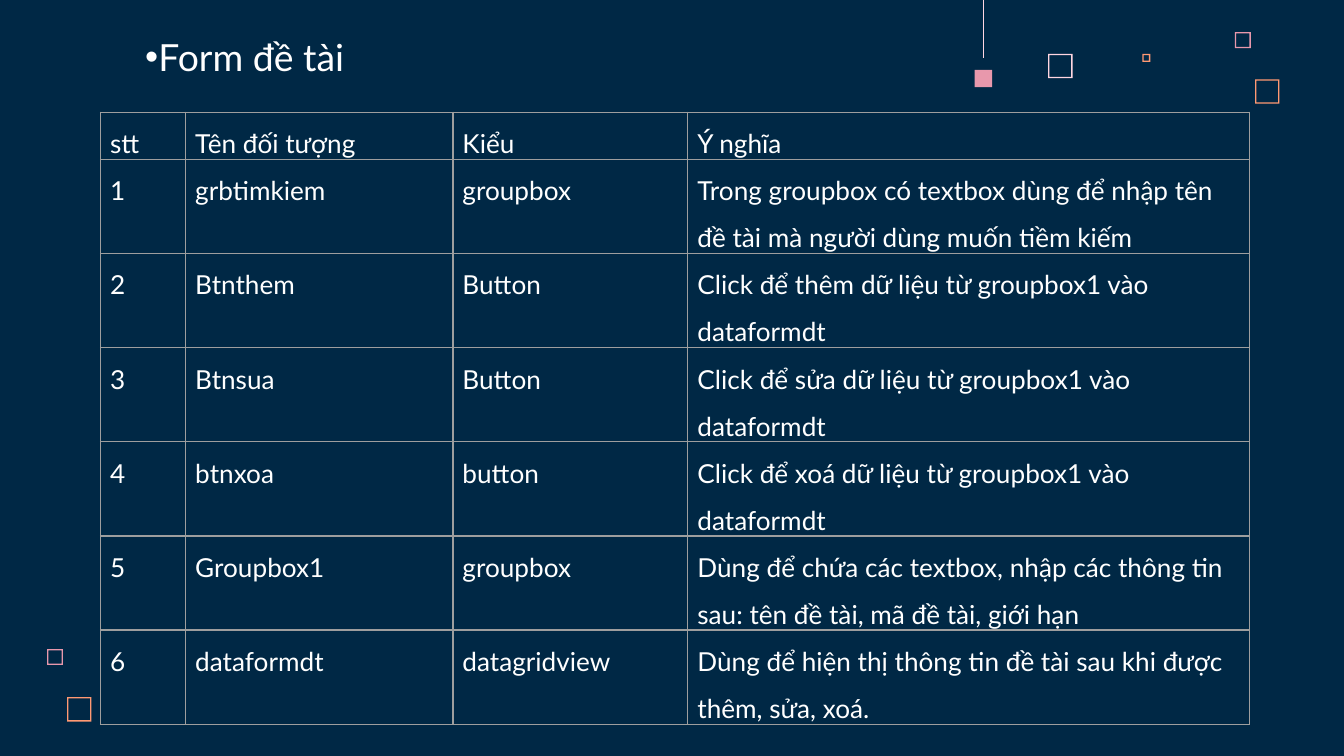
"""Build the slide that lists the objects of the topic form."""
from dataclasses import dataclass

from lxml import etree
from pptx import Presentation
from pptx import util as u
from pptx.dml.color import RGBColor
from pptx.enum import shapes, text
from pptx.oxml import ns

FONT = "Lato"
NAVY, WHITE, GREY = "002845", "FFFFFF", "9E9E9E"
ROSE, BLUSH, ORANGE = "E898AC", "FFD6E1", "FF9973"
FRAME_THICKNESS = 0.025
COLUMN_WIDTHS = (1.61, 5.05, 4.44, 10.62)
HEADER_HEIGHT, ROW_HEIGHT = 0.89, 1.78


@dataclass
class Square:
    left: float
    top: float
    size: float
    color: str
    hollow: bool = True


@dataclass
class FormObject:
    name: str
    kind: str
    meaning: str


SQUARES = [
    Square(19.81, 1.02, 0.46, BLUSH),
    Square(23.34, 0.61, 0.3, ROSE),
    Square(21.59, 1.02, 0.15, ORANGE),
    Square(23.72, 1.5, 0.46, ORANGE),
    Square(18.42, 1.32, 0.33, ROSE, hollow=False),
    Square(0.89, 12.27, 0.3, ROSE),
    Square(1.27, 13.18, 0.46, ORANGE),
]

FORM_OBJECTS = [
    FormObject("grbtimkiem", "groupbox",
               "Trong groupbox có textbox dùng để nhập tên đề tài mà người dùng muốn tiềm kiếm"),
    FormObject("Btnthem", "Button", "Click để thêm dữ liệu từ groupbox1 vào\ndataformdt"),
    FormObject("Btnsua", "Button", "Click để sửa dữ liệu từ groupbox1 vào\ndataformdt"),
    FormObject("btnxoa", "button", "Click để xoá dữ liệu từ groupbox1 vào dataformdt"),
    FormObject("Groupbox1", "groupbox",
               "Dùng để chứa các textbox, nhập các thông tin sau: tên đề tài, mã đề tài, giới hạn"),
    FormObject("dataformdt", "datagridview",
               "Dùng để hiện thị thông tin đề tài sau khi được thêm, sửa, xoá."),
]


def rgb(color: str) -> RGBColor:
    """Turn a hex string into a colour."""
    return RGBColor.from_string(color)


def format_text(paragraph, size: float, alignment) -> None:
    """Give a paragraph its alignment and its runs the slide font."""
    paragraph.alignment = alignment
    for run in paragraph.runs:
        run.font.name = FONT
        run.font.size = u.Pt(size)
        run.font.color.rgb = rgb(WHITE)


def draw_square(slide, square: Square) -> None:
    """Draw one decorative square, hollow or solid."""
    kind = shapes.MSO_SHAPE.FRAME if square.hollow else shapes.MSO_SHAPE.RECTANGLE
    shape = slide.shapes.add_shape(kind, u.Cm(square.left), u.Cm(square.top),
                                   u.Cm(square.size), u.Cm(square.size))
    if square.hollow:
        shape.adjustments[0] = FRAME_THICKNESS / square.size
    shape.shadow.inherit = False
    shape.fill.solid()
    shape.fill.fore_color.rgb = rgb(square.color)
    shape.line.fill.background()


def draw_thread(slide) -> None:
    """Draw the thin line that hangs above the solid square."""
    thread = slide.shapes.add_connector(shapes.MSO_CONNECTOR.STRAIGHT,
                                        u.Cm(18.59), u.Cm(0), u.Cm(18.59), u.Cm(1.09))
    thread.line.width = u.Pt(0.5)
    thread.line.color.rgb = rgb(BLUSH)
    etree.SubElement(thread._element.spPr, ns.qn("a:effectLst"))


def draw_title(slide, title: str) -> None:
    """Place the bulleted title."""
    shape = slide.shapes.title
    shape.left, shape.top, shape.width, shape.height = u.Cm(2.49), u.Cm(0.51), u.Cm(4.52), u.Cm(1.12)
    frame = shape.text_frame
    frame.text = title
    frame.word_wrap = False
    frame.auto_size = text.MSO_AUTO_SIZE.NONE
    frame.vertical_anchor = text.MSO_ANCHOR.MIDDLE
    paragraph = frame.paragraphs[0]
    format_text(paragraph, 20, text.PP_ALIGN.JUSTIFY)
    properties = paragraph._p.get_or_add_pPr()
    properties.set("marL", "0")
    properties.set("indent", "0")
    etree.SubElement(properties, ns.qn("a:buFont"), typeface="Arial")
    etree.SubElement(properties, ns.qn("a:buChar"), char="•")


def draw_borders(cell) -> None:
    """Add a thin grey border on each side of a cell."""
    properties = cell._tc.get_or_add_tcPr()
    for index, side in enumerate(("lnL", "lnR", "lnT", "lnB")):
        border = etree.Element(ns.qn(f"a:{side}"), w=str(u.Pt(0.75)))
        fill = etree.SubElement(border, ns.qn("a:solidFill"))
        etree.SubElement(fill, ns.qn("a:srgbClr"), val=GREY)
        properties.insert(index, border)


def fill_cell(cell, content: str, alignment) -> None:
    """Write and format one table cell."""
    cell.text_frame.text = content
    cell.margin_left = cell.margin_right = u.Cm(0.18)
    cell.margin_top = cell.margin_bottom = 0
    for paragraph in cell.text_frame.paragraphs:
        paragraph.line_spacing = 1.5
        format_text(paragraph, 14, alignment)
    cell.fill.background()
    draw_borders(cell)


def draw_table(slide, form_objects: list[FormObject]) -> None:
    """Draw the numbered table of form objects."""
    rows = [("stt", "Tên đối tượng", "Kiểu", "Ý nghĩa")]
    rows += [(str(number), item.name, item.kind, item.meaning)
             for number, item in enumerate(form_objects, 1)]
    height = HEADER_HEIGHT + ROW_HEIGHT * len(form_objects)
    table = slide.shapes.add_table(len(rows), len(COLUMN_WIDTHS), u.Cm(1.9), u.Cm(2.12),
                                   u.Cm(sum(COLUMN_WIDTHS)), u.Cm(height)).table
    table.first_row = table.horz_banding = False
    for column, width in zip(table.columns, COLUMN_WIDTHS):
        column.width = u.Cm(width)
    for row_index, row in enumerate(rows):
        table.rows[row_index].height = u.Cm(ROW_HEIGHT if row_index else HEADER_HEIGHT)
        for column_index, content in enumerate(row):
            is_meaning = row_index > 0 and column_index == 3
            alignment = text.PP_ALIGN.LEFT if is_meaning else text.PP_ALIGN.JUSTIFY
            fill_cell(table.cell(row_index, column_index), content, alignment)


def main() -> None:
    """Build and save the presentation."""
    presentation = Presentation()
    presentation.slide_width, presentation.slide_height = u.Cm(25.4), u.Cm(14.29)
    slide = presentation.slides.add_slide(presentation.slide_layouts.get_by_name("Title Only"))
    slide.background.fill.solid()
    slide.background.fill.fore_color.rgb = rgb(NAVY)
    for square in SQUARES:
        draw_square(slide, square)
    draw_thread(slide)
    draw_table(slide, FORM_OBJECTS)
    draw_title(slide, "Form đề tài")
    presentation.save("out.pptx")


if __name__ == "__main__":
    main()
